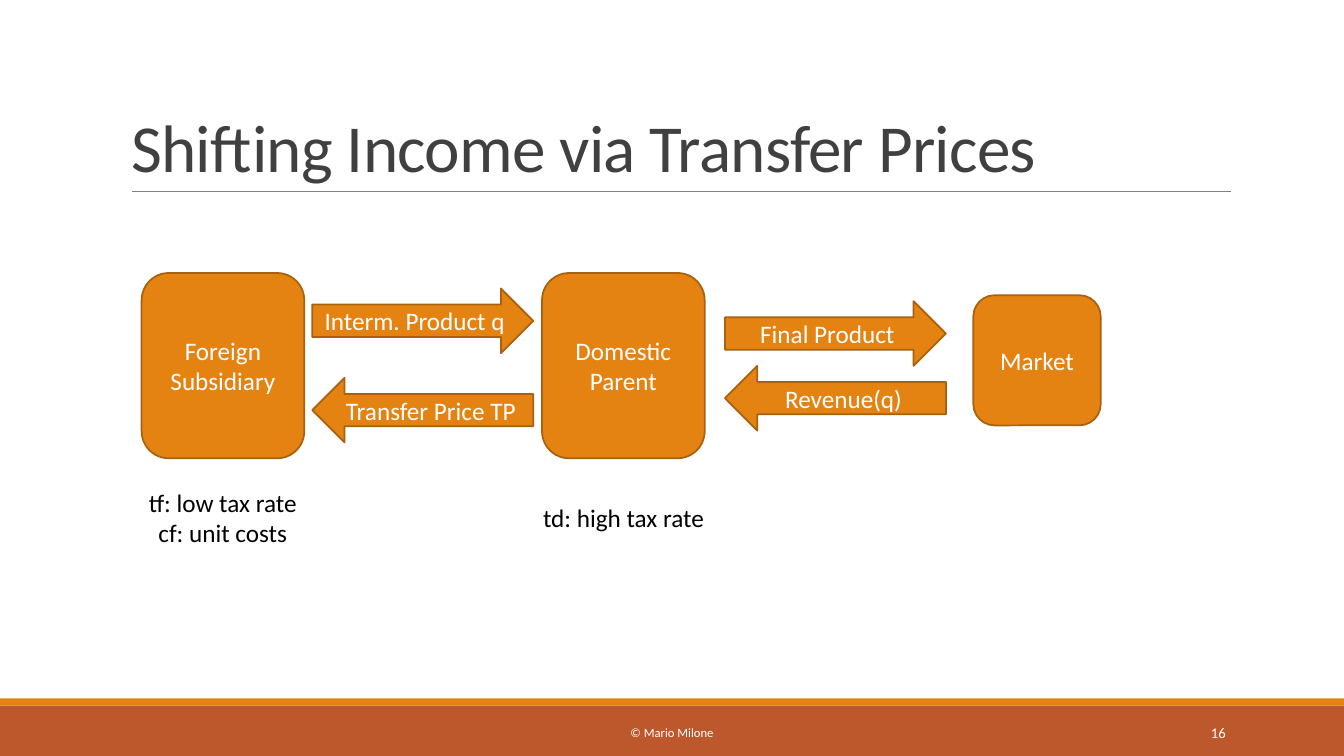
from dataclasses import dataclass

from lxml import etree
from pptx import Presentation
from pptx import util as u
from pptx.dml.color import RGBColor
from pptx.enum import shapes, text
from pptx.oxml.ns import qn


@dataclass(frozen=True)
class Theme:
    font: str = "Calibri"
    orange: str = "E48312"
    outline: str = "A9610D"
    rust: str = "BD582C"
    rule: str = "808080"
    heading: str = "404040"
    white: str = "FFFFFF"
    black: str = "000000"
    title_size: float = 48
    body_size: float = 18
    footer_size: float = 9
    number_size: float = 10.5


THEME = Theme()
KIND = shapes.MSO_SHAPE
ALIGN = text.PP_ALIGN
PAGE_WIDTH, PAGE_HEIGHT = 33.87, 19.05


def cm(*lengths):
    return [u.Cm(length) for length in lengths]


def write(box, words, size=THEME.body_size, color=THEME.white,
          align=ALIGN.CENTER, anchor=text.MSO_ANCHOR.MIDDLE, line_spacing=None):
    """Fill a shape with text, one paragraph per line."""
    frame = box.text_frame
    frame.word_wrap = True
    frame.auto_size = text.MSO_AUTO_SIZE.NONE
    frame.vertical_anchor = anchor
    frame.text = words
    for para in frame.paragraphs:
        para.alignment = align
        if line_spacing:
            para.line_spacing = line_spacing
        for span in para.runs:
            span.font.name = THEME.font
            span.font.size = u.Pt(size)
            span.font.color.rgb = RGBColor.from_string(color)


def add_label(page, words, place, **style):
    write(page.shapes.add_textbox(*cm(*place)), words, **style)


def add_block(page, kind, place, fill, line=None):
    block = page.shapes.add_shape(kind, *cm(*place))
    block.shadow.inherit = False
    block.fill.solid()
    block.fill.fore_color.rgb = RGBColor.from_string(fill)
    if line:
        block.line.color.rgb = RGBColor.from_string(line)
        block.line.width = u.Pt(1.25)
    else:
        block.line.fill.background()
    return block


def add_node(page, kind, words, place):
    write(add_block(page, kind, place, THEME.orange, THEME.outline), words)


def add_rule(page, left, right, top):
    rule = page.shapes.add_connector(
        shapes.MSO_CONNECTOR.STRAIGHT, *cm(left, top, right, top))
    rule.line.color.rgb = RGBColor.from_string(THEME.rule)
    rule.line.width = u.Pt(0.5)
    etree.SubElement(rule.element.spPr, qn("a:effectLst"))


def set_title(page, words, place):
    title = page.shapes.title
    title.left, title.top, title.width, title.height = cm(*place)
    write(title, words, size=THEME.title_size, color=THEME.heading,
          align=ALIGN.LEFT, anchor=text.MSO_ANCHOR.BOTTOM, line_spacing=0.85)
    for properties in title.element.iter(qn("a:rPr")):
        properties.set("spc", "-50")


def main():
    deck = Presentation()
    deck.slide_width, deck.slide_height = cm(PAGE_WIDTH, PAGE_HEIGHT)
    page = deck.slides.add_slide(deck.slide_layouts.get_by_name("Title Only"))

    # Footer bands and title
    add_block(page, KIND.RECTANGLE, (0, 17.78, PAGE_WIDTH, 1.27), THEME.rust)
    add_block(page, KIND.RECTANGLE, (0, 17.6, PAGE_WIDTH, 0.18), THEME.orange)
    add_rule(page, 3.33, 31.01, 4.82)
    set_title(page, "Shifting Income via Transfer Prices", (3.05, 0.79, 27.94, 4.04))
    add_label(page, "© Mario Milone", (10.24, 17.94, 13.39, 1.02),
              size=THEME.footer_size)
    add_label(page, "16", (27.51, 17.94, 3.63, 1.02),
              size=THEME.number_size, align=ALIGN.RIGHT)

    # Parties
    for words, place in (
        ("Foreign Subsidiary", (3.57, 6.88, 4.1, 4.67)),
        ("Domestic Parent", (13.66, 6.88, 4.1, 4.67)),
        ("Market", (24.53, 7.44, 3.21, 3.28)),
    ):
        add_node(page, KIND.ROUNDED_RECTANGLE, words, place)

    # Flows of goods and payments
    for kind, words, left, top in (
        (KIND.RIGHT_ARROW, "Interm. Product q", 7.87, 7.27),
        (KIND.LEFT_ARROW, "Transfer Price TP", 7.87, 9.52),
        (KIND.RIGHT_ARROW, "Final Product", 18.27, 7.59),
        (KIND.LEFT_ARROW, "Revenue(q)", 18.27, 9.22),
    ):
        add_node(page, kind, words, (left, top, 5.57, 1.63))

    # Tax rates and costs
    for words, left in (("tf: low tax rate\ncf: unit costs", 3.1),
                        ("td: high tax rate", 13.2)):
        add_label(page, words, (left, 12.14, 5.03, 1.78), color=THEME.black)

    deck.save("out.pptx")


main()
